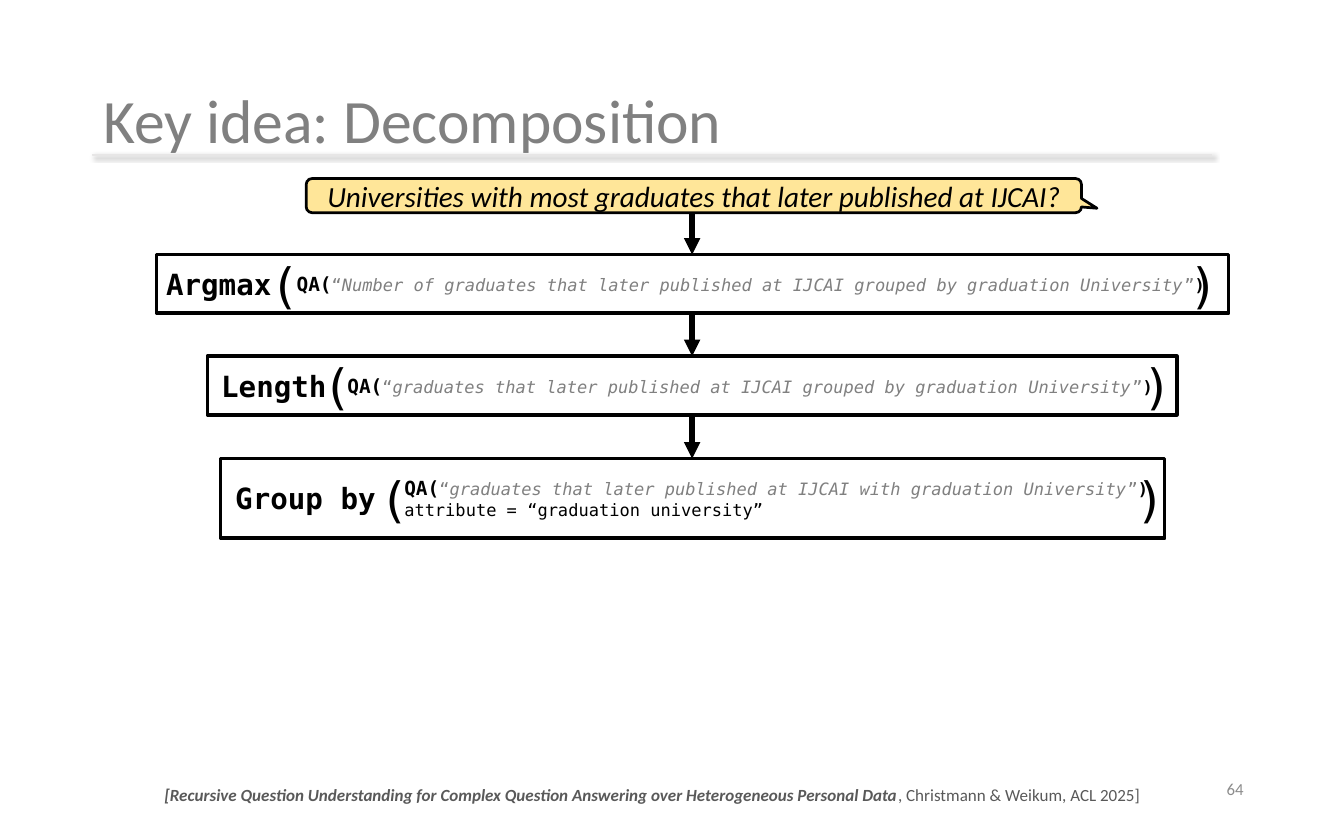
from dataclasses import dataclass

from lxml import etree
from pptx import Presentation
from pptx.dml.color import RGBColor
from pptx.enum.shapes import MSO_CONNECTOR, MSO_SHAPE
from pptx.enum.text import MSO_ANCHOR, PP_ALIGN
from pptx.oxml import parse_xml
from pptx.oxml.ns import nsdecls, qn
from pptx.util import Inches, Pt

RECT = MSO_SHAPE.RECTANGLE
CALLOUT = MSO_SHAPE.ROUNDED_RECTANGULAR_CALLOUT
STRAIGHT = MSO_CONNECTOR.STRAIGHT
TOP, MIDDLE = MSO_ANCHOR.TOP, MSO_ANCHOR.MIDDLE
LEFT, CENTER, RIGHT = PP_ALIGN.LEFT, PP_ALIGN.CENTER, PP_ALIGN.RIGHT


@dataclass(frozen=True)
class Theme:
    sans: str = "Calibri"
    mono: str = "DejaVu Sans Mono"
    black: str = "000000"
    grey: str = "808080"
    dark_grey: str = "595959"
    page_grey: str = "8C8C8C"
    rule: str = "E7E6E6"
    yellow: str = "FFE699"
    title: float = 50.7
    paren: float = 40
    heading: float = 24
    call: float = 16
    query: float = 14
    page: float = 13.8


@dataclass(frozen=True)
class Style:
    font: str
    size: float
    color: str
    bold: bool = False
    italic: bool = False

    def apply(self, font):
        font.name, font.size = self.font, Pt(self.size)
        font.bold, font.italic = self.bold, self.italic
        font.color.rgb = RGBColor.from_string(self.color)


@dataclass(frozen=True)
class Step:
    left: float
    top: float
    width: float
    height: float
    operator: str
    label_left: float
    open_left: float
    close_left: float
    text_inset: float
    query: str
    argument: str = ""


class Deck:
    def __init__(self, theme, width, height):
        self.theme = theme
        self.prs = Presentation()
        self.prs.slide_width, self.prs.slide_height = Inches(width), Inches(height)
        self.slide = self.prs.slides.add_slide(self.prs.slide_layouts[6])

    def fill_text(self, shape, paragraphs, align=LEFT, anchor=TOP, insets=(0.1, 0.05, 0.1, 0.05)):
        """Fill a shape with paragraphs, each a list of (text, style) runs."""
        frame = shape.text_frame
        frame.word_wrap, frame.vertical_anchor = True, anchor
        (frame.margin_left, frame.margin_top,
         frame.margin_right, frame.margin_bottom) = map(Inches, insets)
        for index, runs in enumerate(paragraphs):
            paragraph = frame.add_paragraph() if index else frame.paragraphs[0]
            paragraph.alignment = align
            for text, style in runs:
                run = paragraph.add_run()
                run.text = text
                if len(runs) > 1:
                    style.apply(run.font)
            if len(runs) == 1:
                runs[0][1].apply(paragraph.font)

    def text(self, box, paragraphs, parent=None, **layout):
        shapes = (parent or self.slide).shapes
        textbox = shapes.add_textbox(*map(Inches, box))
        self.fill_text(textbox, paragraphs, **layout)
        return textbox

    def shape(self, kind, box, line, weight, fill=None, parent=None):
        shapes = (parent or self.slide).shapes
        shape = shapes.add_shape(kind, *map(Inches, box))
        shape.shadow.inherit = False
        if fill:
            shape.fill.solid()
            shape.fill.fore_color.rgb = RGBColor.from_string(fill)
        else:
            shape.fill.background()
        shape.line.color.rgb = RGBColor.from_string(line)
        shape.line.width = Pt(weight)
        return shape

    def rule(self, box):
        rule = self.shape(RECT, box, self.theme.rule, 1, self.theme.rule)
        effects = rule._element.spPr.find(qn("a:effectLst"))
        effects.append(parse_xml(
            f'<a:outerShdw {nsdecls("a")} blurRad="{Pt(4)}" dist="{Pt(3)}" dir="2700000">'
            f'<a:srgbClr val="{self.theme.black}"><a:alpha val="40000"/></a:srgbClr>'
            '</a:outerShdw>'))

    def arrow(self, x, start, end):
        arrow = self.slide.shapes.add_connector(
            STRAIGHT, Inches(x), Inches(start), Inches(x), Inches(end))
        arrow.line.color.rgb = RGBColor.from_string(self.theme.black)
        arrow.line.width = Pt(4.5)
        line = arrow._element.spPr.find(qn("a:ln"))
        etree.SubElement(line, qn("a:tailEnd"), type="triangle")
        etree.SubElement(arrow._element.spPr, qn("a:effectLst"))

    def step(self, step):
        t = self.theme
        call = Style(t.mono, t.call, t.black, bold=True)
        close = Style(t.mono, t.query, t.black, bold=True)
        quote = Style(t.mono, t.query, t.grey)
        query = Style(t.mono, t.query, t.grey, italic=True)
        paragraphs = [[("QA(", call), ("“", quote), (step.query, query),
                       ("”", quote), (")", close)]]
        if step.argument:
            paragraphs.append([(step.argument, Style(t.mono, t.query, t.black))])

        group = self.slide.shapes.add_group_shape()
        frame = self.shape(RECT, (step.left, step.top, step.width, step.height),
                           t.black, 3, parent=group)
        self.fill_text(frame, paragraphs, anchor=MIDDLE,
                       insets=(step.text_inset, 0.05, 0.05, 0.05))

        # Operator name and large parentheses, centred on the frame's height
        operator = Style(t.mono, t.heading, t.black, bold=True)
        paren = Style(t.mono, t.paren, t.black)
        for text, style, left, width, height in (
                (step.operator, operator, step.label_left, 2.17, 0.5),
                ("(", paren, step.open_left, 0.4, 0.77),
                (")", paren, step.close_left, 0.43, 0.77)):
            top = step.top + (step.height - height) / 2
            self.text((left, top, width, height), [[(text, style)]], parent=group)


def main():
    t = Theme()
    deck = Deck(t, 15.36, 9.45)

    # Title and its rule
    title = deck.text((1.06, 0.5, 13.24, 1.83),
                      [[("Key idea: Decomposition", Style(t.sans, t.title, t.grey))]],
                      anchor=MIDDLE, insets=(0.12, 0.06, 0.12, 0.06))
    title.text_frame.paragraphs[0].line_spacing = 0.9
    deck.rule((1.06, 1.77, 12.79, 0))

    # Decomposition steps, linked from the question downwards
    steps = [
        Step(1.79, 2.91, 12.25, 0.67, "Argmax", 1.8, 2.99, 13.49, 1.6,
             "Number of graduates that later published at IJCAI grouped by graduation University"),
        Step(2.37, 4.07, 11.08, 0.67, "Length", 2.43, 3.59, 12.96, 1.6,
             "graduates that later published at IJCAI grouped by graduation University"),
        Step(2.52, 5.24, 10.79, 0.91, "Group by", 2.59, 4.24, 12.88, 2.1,
             "graduates that later published at IJCAI with graduation University",
             "attribute = “graduation university”"),
    ]
    question_top, question_height = 2.04, 0.39
    arrow_start = question_top + question_height
    for step in steps:
        deck.arrow(7.91, arrow_start, step.top)
        deck.step(step)
        arrow_start = step.top + step.height

    # Question
    question = deck.shape(CALLOUT, (3.5, question_top, 8.86, question_height),
                          t.black, 2.25, t.yellow)
    for index, value in enumerate((0.52, 0.37, 0.17)):
        question.adjustments[index] = value
    deck.fill_text(question, [[("Universities with most graduates that later published at IJCAI?",
                                Style(t.sans, t.heading, t.black, italic=True))]],
                   align=CENTER, anchor=MIDDLE)

    # Citation and page number
    deck.text((1.33, 8.92, 12.25, 0.34), [[
        ("[Recursive Question Understanding for Complex Question Answering "
         "over Heterogeneous Personal Data",
         Style(t.sans, t.query, t.dark_grey, bold=True, italic=True)),
        (", Christmann & Weikum, ACL 2025]", Style(t.sans, t.query, t.dark_grey)),
    ]], align=CENTER)
    deck.text((10.85, 8.76, 3.46, 0.5), [[("64", Style(t.sans, t.page, t.page_grey))]],
              align=RIGHT, anchor=MIDDLE)

    deck.prs.save("out.pptx")


if __name__ == "__main__":
    main()
